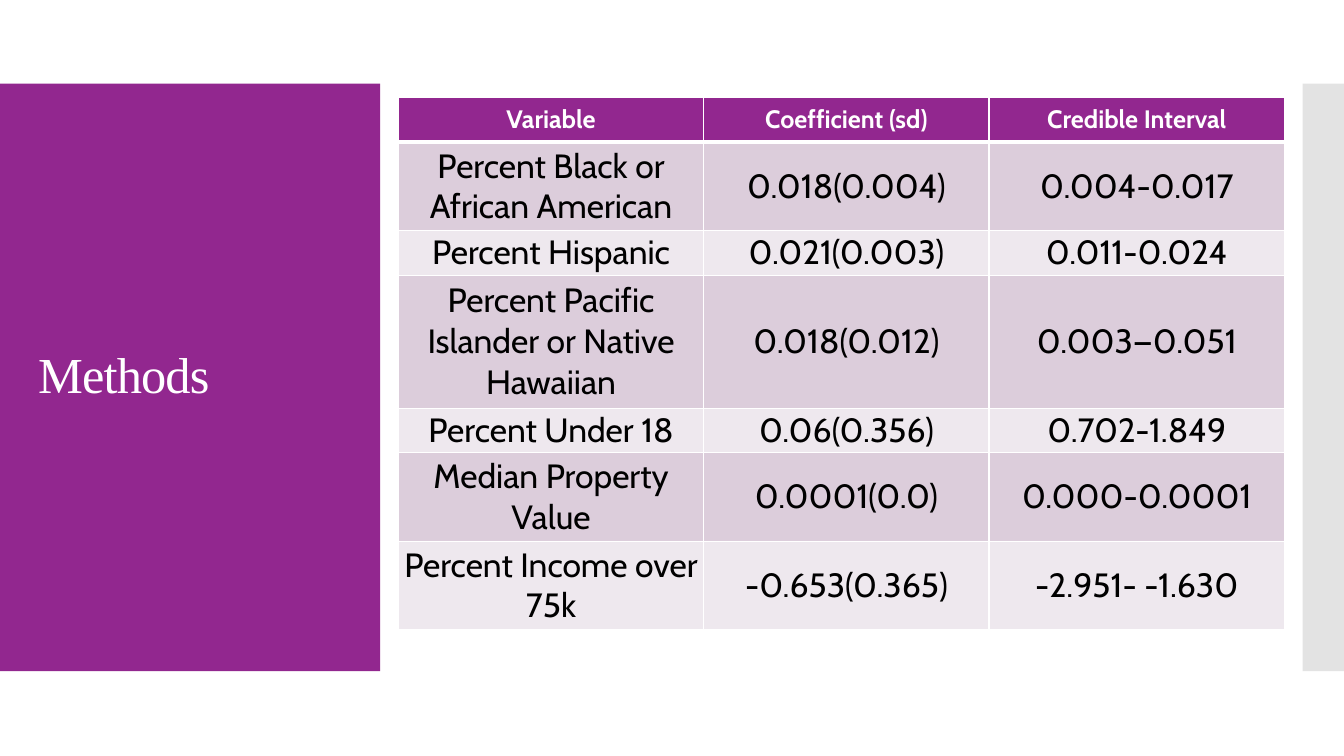
from pptx import Presentation
from pptx.dml.color import RGBColor
from pptx.enum.shapes import MSO_SHAPE
from pptx.enum.text import MSO_ANCHOR, PP_ALIGN
from pptx.oxml import parse_xml
from pptx.oxml.ns import nsdecls, qn
from pptx.util import Inches, Pt
from lxml.etree import SubElement

PURPLE = "92278F"
WHITE = "FFFFFF"
BANDS = ("DCCDDB", "EEE8EE")
COLUMN_WIDTHS = (3.03, 2.83, 2.93)
LINE_HEIGHT = 0.44
ROW_LINES = (1, 2, 1, 3, 1, 2, 2)
ROWS = (
    ("Variable", "Coefficient (sd)", "Credible Interval"),
    ("Percent Black or African American", "0.018(0.004)", "0.004-0.017"),
    ("Percent Hispanic", "0.021(0.003)", "0.011-0.024"),
    ("Percent Pacific Islander or Native Hawaiian", "0.018(0.012)", "0.003—0.051"),
    ("Percent Under 18", "0.06(0.356)", "0.702-1.849"),
    ("Median Property Value", "0.0001(0.0)", "0.000-0.0001"),
    ("Percent Income over 75k", "-0.653(0.365)", "-2.951- -1.630"),
)


def color(value):
    return RGBColor.from_string(value)


def add_panel(page, left, top, width, height, fill):
    panel = page.shapes.add_shape(
        MSO_SHAPE.RECTANGLE, Inches(left), Inches(top), Inches(width), Inches(height))
    panel.shadow.inherit = False
    panel.fill.solid()
    panel.fill.fore_color.rgb = color(fill)
    panel.line.fill.background()
    return panel


def add_title_panel(page, left, top, width, height):
    add_panel(page, left, top, width, height, PURPLE)
    box = page.shapes.add_textbox(
        Inches(left + 0.28), Inches(top + 0.4), Inches(width - 0.55), Inches(height - 0.8))
    frame = box.text_frame
    frame.word_wrap = True
    frame.vertical_anchor = MSO_ANCHOR.MIDDLE
    frame.text = "Methods"
    para = frame.paragraphs[0]
    para.line_spacing = 0.9
    span = para.runs[0]
    span.font.name = "Times New Roman"
    span.font.size = Pt(36)
    span.font.color.rgb = color(WHITE)
    span.font._element.set("spc", "-60")


def add_side_strip(page, left, top, width, height):
    strip = add_panel(page, left, top, width, height, "C8C8C8")
    fill = strip._element.spPr.find(qn("a:solidFill"))
    SubElement(fill[0], qn("a:alpha")).set("val", "50000")


def set_borders(cell, bottom, top):
    properties = cell._tc.get_or_add_tcPr()
    sides = (("L", 1), ("R", 1), ("T", top), ("B", bottom))
    for index, (side, points) in enumerate(sides):
        properties.insert(index, parse_xml(
            f'<a:ln{side} {nsdecls("a")} w="{Pt(points)}"><a:solidFill>'
            f'<a:srgbClr val="{WHITE}"/></a:solidFill></a:ln{side}>'))


def style_cell(cell, text, row_index):
    header = row_index == 0
    cell.text = text
    cell.vertical_anchor = MSO_ANCHOR.MIDDLE
    if not header:
        cell.margin_left = cell.margin_right = cell.margin_top = cell.margin_bottom = 0
    cell.fill.solid()
    cell.fill.fore_color.rgb = color(PURPLE if header else BANDS[(row_index - 1) % 2])
    set_borders(cell, bottom=3 if header else 1, top=3 if row_index == 1 else 1)
    para = cell.text_frame.paragraphs[0]
    para.alignment = PP_ALIGN.CENTER
    font = para.runs[0].font
    font.name = "Cabin"
    font.size = Pt(18 if header else 24)
    font.bold = header
    font.color.rgb = color(WHITE if header else "000000")


def add_results_table(page, left, top):
    table = page.shapes.add_table(
        len(ROWS), len(COLUMN_WIDTHS), Inches(left), Inches(top),
        Inches(sum(COLUMN_WIDTHS)), Inches(LINE_HEIGHT * sum(ROW_LINES))).table
    for column, width in zip(table.columns, COLUMN_WIDTHS):
        column.width = Inches(width)
    for row, lines in zip(table.rows, ROW_LINES):
        row.height = Inches(LINE_HEIGHT * lines)
    for row_index, texts in enumerate(ROWS):
        for column_index, text in enumerate(texts):
            style_cell(table.cell(row_index, column_index), text, row_index)


def main():
    deck = Presentation()
    deck.slide_width = Inches(13.33)
    deck.slide_height = Inches(7.5)
    page = deck.slides.add_slide(deck.slide_layouts[6])
    add_title_panel(page, 0, 0.83, 3.77, 5.83)
    add_side_strip(page, 12.92, 0.83, 0.41, 5.83)
    add_results_table(page, 3.95, 0.97)
    deck.save("out.pptx")


if __name__ == "__main__":
    main()
